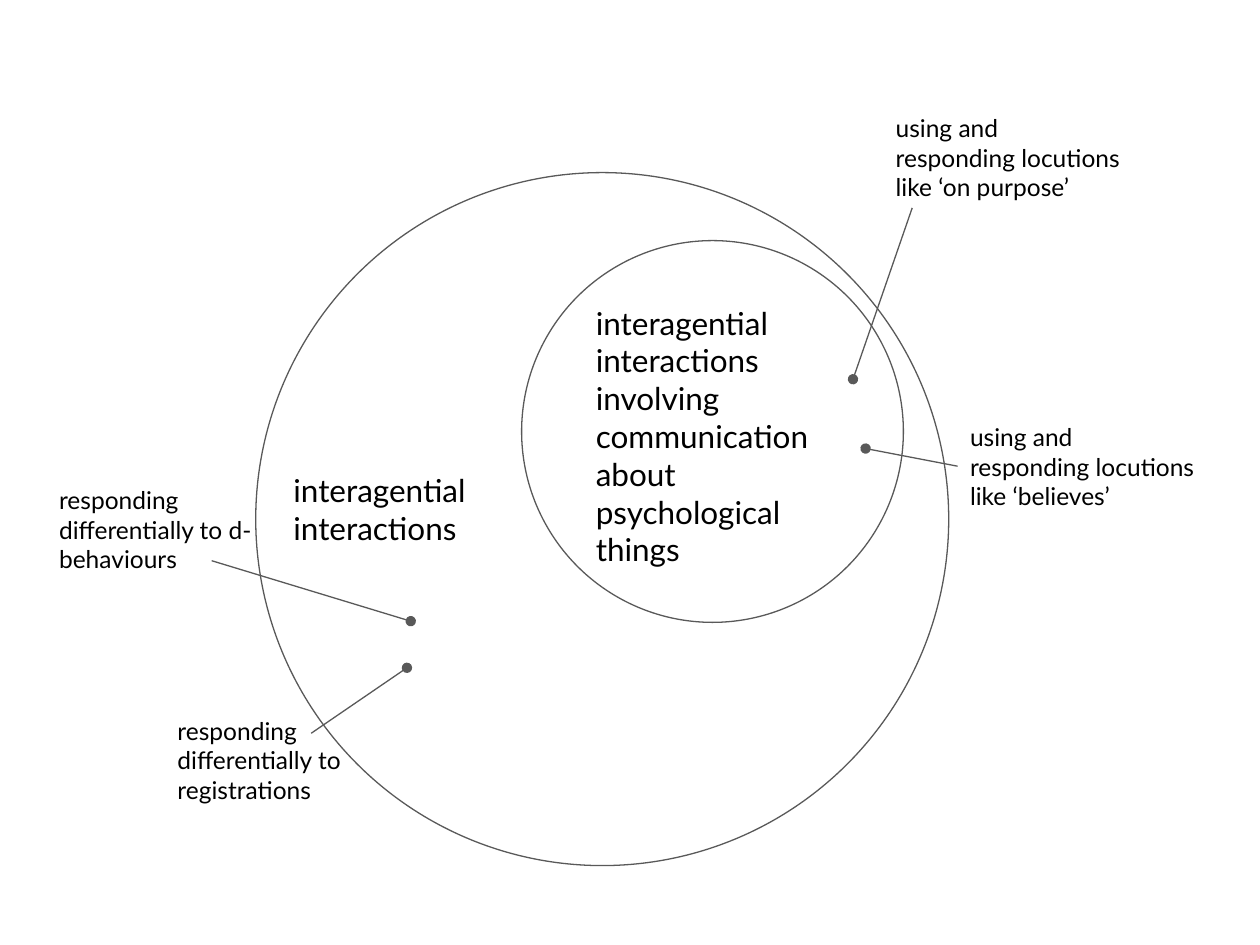
"""Build a slide of nested circles of interagential interactions with linked labels."""
from typing import NamedTuple

from lxml import etree
from pptx import Presentation, util as u
from pptx.dml.color import RGBColor
from pptx.enum import shapes, text
from pptx.oxml import ns

GREY = RGBColor(0x59, 0x59, 0x59)
BLACK = RGBColor(0, 0, 0)
FONT = "Lato"
COLS, ROWS = 100, 75
LABEL_W = 19.8
HEADING_PT, EXAMPLE_PT = 18, 14

prs = Presentation()
prs.slide_width, prs.slide_height = u.Inches(10), u.Inches(7.5)


class Circle(NamedTuple):
    col: float
    row: float
    size: float


class Label(NamedTuple):
    words: str
    col: float
    row: float
    rows: float
    points: int


class Pointer(NamedTuple):
    col: float
    row: float
    end_col: float
    end_row: float


def x(cols: float) -> int:
    return round(prs.slide_width * cols / COLS)


def y(rows: float) -> int:
    return round(prs.slide_height * rows / ROWS)


def style_line(line) -> None:
    line.color.rgb = GREY
    line.width = u.Pt(0.75)


def draw_circle(s, c: Circle) -> None:
    sp = s.shapes.add_shape(shapes.MSO_SHAPE.OVAL, x(c.col), y(c.row), x(c.size), y(c.size))
    sp.shadow.inherit = False
    sp.fill.background()
    style_line(sp.line)


def draw_pointer(s, p: Pointer) -> None:
    cn = s.shapes.add_connector(shapes.MSO_CONNECTOR.STRAIGHT,
                                x(p.col), y(p.row), x(p.end_col), y(p.end_row))
    style_line(cn.line)
    sp_pr = cn._element.spPr
    etree.SubElement(sp_pr.find(ns.qn("a:ln")), ns.qn("a:tailEnd"), type="oval")
    etree.SubElement(sp_pr, ns.qn("a:effectLst"))


def draw_label(s, label: Label) -> None:
    sp = s.shapes.add_textbox(x(label.col), y(label.row), x(LABEL_W), y(label.rows))
    tf = sp.text_frame
    tf.word_wrap = True
    tf.auto_size = text.MSO_AUTO_SIZE.SHAPE_TO_FIT_TEXT
    tf.vertical_anchor = text.MSO_ANCHOR.TOP
    tf.margin_left = tf.margin_right = tf.margin_top = tf.margin_bottom = u.Inches(0.1)
    tf.text = label.words
    f = tf.paragraphs[0].runs[0].font
    f.name, f.size, f.color.rgb = FONT, u.Pt(label.points), BLACK


CIRCLES = [Circle(20.3, 13.7, 55), Circle(41.4, 19.1, 30.3)]
POINTERS = [
    Pointer(16.8, 44.5, 32.6, 49.3),
    Pointer(72.4, 16.5, 67.7, 30.1),
    Pointer(24.7, 58.2, 32.3, 53),
    Pointer(76, 37, 68.7, 35.6),
]
LABELS = [
    Label("interagential interactions", 22.3, 36.4, 8.1, HEADING_PT),
    Label("interagential interactions involving communication about psychological things",
          46.3, 23.1, 23.2, HEADING_PT),
    Label("responding differentially to d-behaviours", 3.7, 37.5, 9.1, EXAMPLE_PT),
    Label("using and responding locutions like ‘on purpose’", 70.1, 8, 9.1, EXAMPLE_PT),
    Label("responding differentially to registrations", 13.1, 55.8, 9.1, EXAMPLE_PT),
    Label("using and responding locutions like ‘believes’", 76, 32.5, 9.1, EXAMPLE_PT),
]

s = prs.slides.add_slide(prs.slide_layouts[6])
for circle in CIRCLES:
    draw_circle(s, circle)
for pointer in POINTERS:
    draw_pointer(s, pointer)
for label in LABELS:
    draw_label(s, label)

prs.save("out.pptx")
